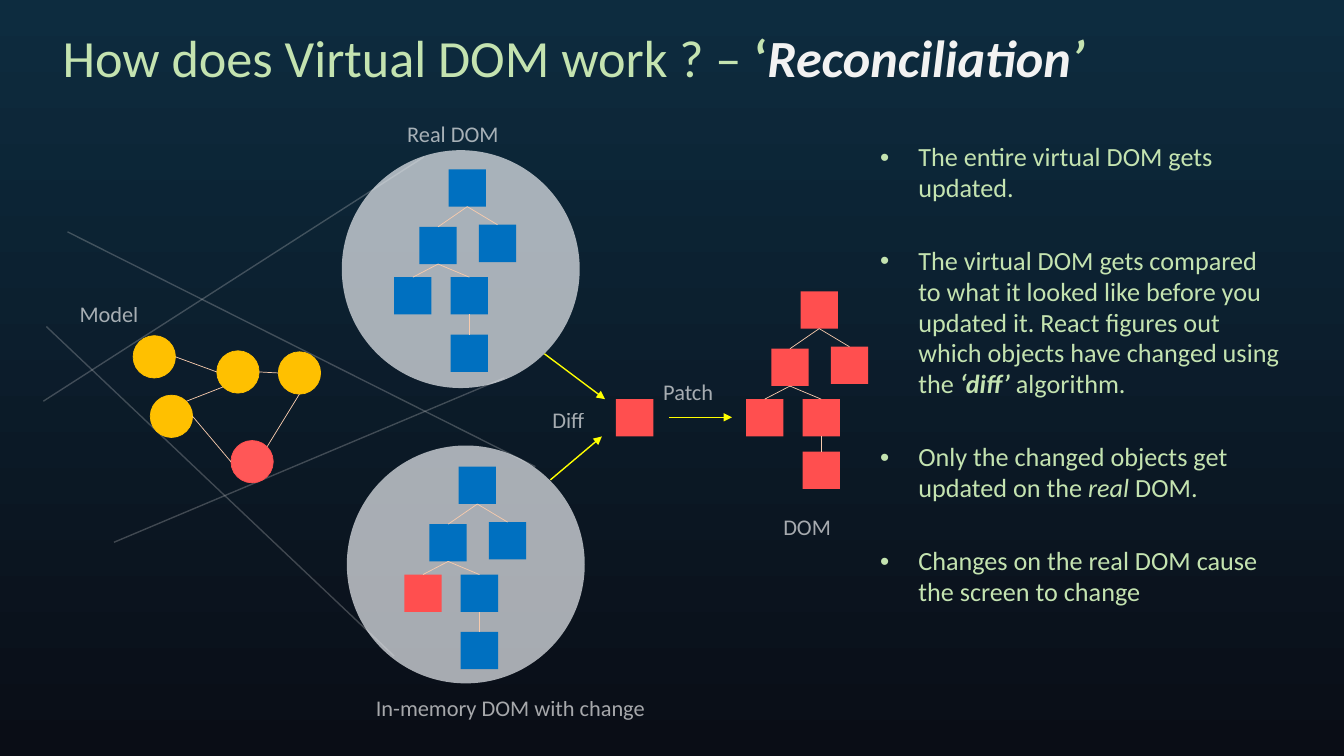
from pptx import Presentation
from pptx.dml.color import RGBColor
from pptx.enum.shapes import MSO_CONNECTOR, MSO_SHAPE
from pptx.enum.text import MSO_ANCHOR, PP_ALIGN
from pptx.oxml.ns import qn
from pptx.oxml.xmlchemy import OxmlElement
from pptx.util import Inches, Pt

BG_TOP = RGBColor(0x0D, 0x2C, 0x3F)
BG_BOTTOM = RGBColor(0x0A, 0x0D, 0x16)
GREEN = RGBColor(0xC4, 0xE3, 0xB0)
OFF_WHITE = RGBColor(0xF2, 0xF2, 0xF2)
WHITE = RGBColor(0xFF, 0xFF, 0xFF)
BEAM = RGBColor(0xD9, 0xD9, 0xD9)
LENS = RGBColor(0xEB, 0xEE, 0xF2)
PEACH = RGBColor(0xF8, 0xCB, 0xAD)
BLUE = RGBColor(0x00, 0x70, 0xC0)
RED = RGBColor(0xFF, 0x4F, 0x4F)
LIGHT_RED = RGBColor(0xFF, 0x57, 0x57)
AMBER = RGBColor(0xFF, 0xC0, 0x00)
YELLOW = RGBColor(0xFF, 0xFF, 0x00)

FONT = "Calibri"
NODE = 0.37
MODEL_NODE = 0.42
LENS_SIZE = 2.36

BEAMS = [(3.91, 6.51, 0.46, 3.24), (5.31, 4.63, 0.67, 2.3),
         (4.2, 1.56, 0.43, 3.98), (5, 3.75, 1.13, 5.38)]
ARROWS = [(5.4, 3.51, 6, 3.96), (5.46, 4.76, 5.97, 4.33), (6.64, 4.14, 7.26, 4.14)]
MODEL_NODES = [(1.32, 3.33), (2.76, 3.49), (1.49, 3.92), (2.15, 3.48)]
CHANGED_MODEL_NODE = (2.29, 4.37)
MODEL_EDGES = [(1.74, 3.54, 2.15, 3.69), (1.85, 3.98, 2.21, 3.84),
               (2.57, 3.69, 2.76, 3.7), (2.97, 3.91, 2.65, 4.43),
               (1.91, 4.13, 2.29, 4.58)]
# Tree nodes as offsets from the root; the deepest leaf's drop varies
TREE_NODES = [(0, 0), (0.3, 0.55), (-0.29, 0.57), (-0.54, 1.07), (0.02, 1.07)]
TREE_EDGES = [(0, 1), (0, 2), (2, 3), (2, 4), (4, 5)]
LABELS = [("Real DOM", 3.94, 1.14, 1.12), ("Model", 0.69, 2.93, 0.79),
          ("In-memory DOM with change", 3.63, 6.84, 2.9), ("Diff", 5.38, 3.98, 0.53),
          ("Patch", 6.48, 3.7, 0.7), ("DOM", 7.67, 5.04, 0.68)]

# Each run is text, bold, italic
POINTS = [
    [("The entire virtual DOM gets updated.", False, False)],
    [("The virtual DOM gets compared to what it looked like before you updated it. "
      "React figures out which objects have changed using the ", False, False),
     ("‘diff’ ", True, True), ("algorithm.", False, False)],
    [("Only the changed objects get updated on the ", False, False),
     ("real", False, True), (" DOM.", False, False)],
    [("Changes on the real DOM cause the screen to change", False, False)],
]


def set_opacity(element, percent):
    for color in element.iter(qn("a:srgbClr")):
        alpha = OxmlElement("a:alpha")
        alpha.set("val", str(percent * 1000))
        color.append(alpha)


def format_run(run, size, color, bold=False, italic=False):
    run.font.name = FONT
    run.font.size = Pt(size)
    run.font.bold = bold
    run.font.italic = italic
    run.font.color.rgb = color


def add_node(slide, preset, left, top, size, fill, outline=None):
    node = slide.shapes.add_shape(preset, Inches(left), Inches(top),
                                  Inches(size), Inches(size))
    node.shadow.inherit = False
    node.fill.solid()
    node.fill.fore_color.rgb = fill
    if outline is None:
        node.line.fill.background()
    else:
        node.line.color.rgb = outline
        node.line.width = Pt(0.5)
    return node


def add_line(slide, ends, color, width, arrow=False):
    line = slide.shapes.add_connector(MSO_CONNECTOR.STRAIGHT,
                                      *(Inches(value) for value in ends))
    line.line.color.rgb = color
    line.line.width = Pt(width)
    if arrow:
        head = OxmlElement("a:tailEnd")
        head.set("type", "triangle")
        line.line._get_or_add_ln().append(head)
    line._element.spPr.append(OxmlElement("a:effectLst"))
    return line


def add_lens(slide, left, top):
    lens = add_node(slide, MSO_SHAPE.OVAL, left, top, LENS_SIZE, LENS)
    set_opacity(lens._element, 70)


def add_tree(slide, left, top, leaf_drop, colors):
    offsets = TREE_NODES + [(0.02, leaf_drop)]
    nodes = [add_node(slide, MSO_SHAPE.RECTANGLE, left + dx, top + dy, NODE, color)
             for (dx, dy), color in zip(offsets, colors)]
    for parent, child in TREE_EDGES:
        edge = add_line(slide, (0, 0, 0, 0), PEACH, 0.5)
        edge.begin_connect(nodes[parent], 2)
        edge.end_connect(nodes[child], 0)


def add_label(slide, text, left, top, width):
    frame = slide.shapes.add_textbox(Inches(left), Inches(top),
                                     Inches(width), Inches(0.37)).text_frame
    frame.word_wrap = False
    frame.text = text
    run = frame.paragraphs[0].runs[0]
    format_run(run, 16, WHITE)
    set_opacity(run._r, 63)


def add_points(slide):
    frame = slide.shapes.add_textbox(Inches(8.63), Inches(1.36),
                                     Inches(4.16), Inches(5.1)).text_frame
    frame.word_wrap = True
    for index, point in enumerate(POINTS):
        paragraph = frame.add_paragraph() if index else frame.paragraphs[0]
        paragraph.line_spacing = 0.98
        paragraph.space_before = Pt(30.2 if index else 0)
        for text, bold, italic in point:
            run = paragraph.add_run()
            run.text = text
            format_run(run, 18.7, GREEN, bold, italic)
        properties = paragraph._p.get_or_add_pPr()
        properties.set("marL", str(Inches(0.38)))
        properties.set("indent", str(-Inches(0.38)))
        for tag, key, value in (("a:buFont", "typeface", "Arial"),
                                ("a:buChar", "char", "•")):
            bullet = OxmlElement(tag)
            bullet.set(key, value)
            properties.append(bullet)


def format_title(title):
    title.left, title.top = Inches(0.52), Inches(0.17)
    title.width, title.height = Inches(12.23), Inches(1.16)
    frame = title.text_frame
    frame.vertical_anchor = MSO_ANCHOR.TOP
    frame.margin_top = Inches(0.08)
    paragraph = frame.paragraphs[0]
    paragraph.alignment = PP_ALIGN.LEFT
    for text, color, bold, italic in (
            ("How does Virtual DOM work ? – ", GREEN, False, False),
            ("‘", GREEN, True, False),
            ("Reconciliation", OFF_WHITE, True, True),
            ("’", GREEN, True, True)):
        run = paragraph.add_run()
        run.text = text
        format_run(run, 37.3, color, bold, italic)


def paint_background(slide):
    fill = slide.background.fill
    fill.gradient()
    fill.gradient_angle = 270
    for stop, color, position in zip(fill.gradient_stops, (BG_TOP, BG_BOTTOM), (0, 1)):
        stop.color.rgb = color
        stop.position = position


def main():
    deck = Presentation()
    deck.slide_width, deck.slide_height = Inches(13.33), Inches(7.5)
    slide = deck.slides.add_slide(deck.slide_layouts[5])
    paint_background(slide)
    format_title(slide.shapes.title)

    # Light beams behind the trees
    for ends in BEAMS:
        set_opacity(add_line(slide, ends, BEAM, 1)._element, 25)

    # Real DOM, changed in-memory DOM and patched DOM
    add_lens(slide, 3.39, 1.49)
    add_tree(slide, 4.45, 1.68, 1.64, [BLUE] * 6)
    add_lens(slide, 3.44, 4.42)
    add_tree(slide, 4.55, 4.63, 1.64, [BLUE] * 3 + [RED] + [BLUE] * 2)
    add_tree(slide, 7.94, 2.89, 1.59, [RED] * 6)

    # Diff and patch steps
    add_node(slide, MSO_SHAPE.RECTANGLE, 6.11, 3.96, NODE, RED)
    for ends in ARROWS:
        add_line(slide, ends, YELLOW, 1, arrow=True)

    # Model graph
    for left, top in MODEL_NODES:
        add_node(slide, MSO_SHAPE.OVAL, left, top, MODEL_NODE, AMBER, AMBER)
    add_node(slide, MSO_SHAPE.OVAL, *CHANGED_MODEL_NODE, MODEL_NODE, LIGHT_RED, RED)
    for ends in MODEL_EDGES:
        add_line(slide, ends, PEACH, 0.5)

    # Labels and explanation
    for label in LABELS:
        add_label(slide, *label)
    add_points(slide)
    deck.save("out.pptx")


if __name__ == "__main__":
    main()
